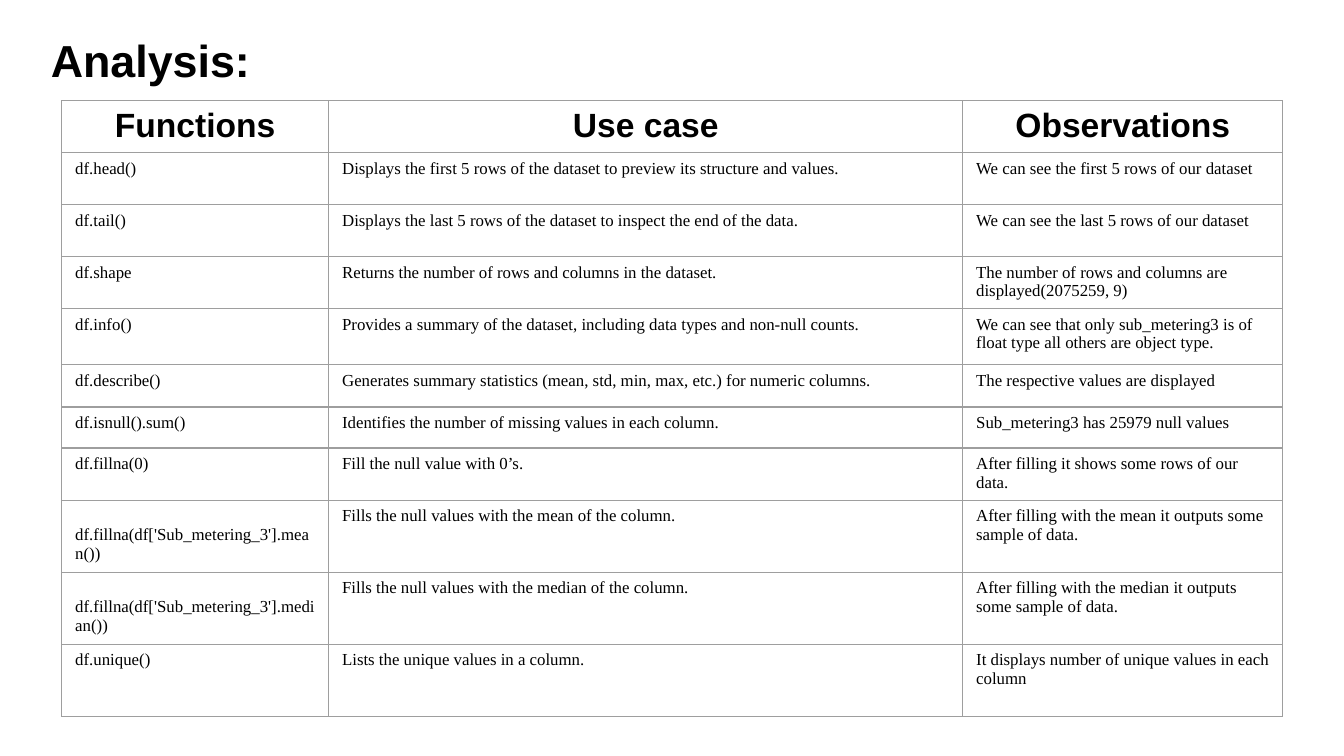
from dataclasses import dataclass

from lxml import etree
from pptx import Presentation
from pptx.dml.color import RGBColor
from pptx.enum.text import MSO_ANCHOR, PP_ALIGN
from pptx.oxml.ns import qn
from pptx.util import Inches, Pt

LEFT, CENTER = PP_ALIGN.LEFT, PP_ALIGN.CENTER
TOP = MSO_ANCHOR.TOP

SLIDE_WIDTH = Inches(10)
SLIDE_HEIGHT = SLIDE_WIDTH * 9 // 16
INK, GRID_LINE = "000000", "9E9E9E"
HEADING_FONT, BODY_FONT = "Arial", "Times New Roman"
COLUMN_POINTS = (143, 339.7, 171.5)
HEADER_POINTS = 27.6
PADDING_TOP, PADDING_BOTTOM = 0.05, 0.03
BODY_LINE = 0.14
HEADINGS = ("Functions", "Use case", "Observations")


@dataclass(frozen=True)
class FunctionEntry:
    function: str
    use_case: str
    observation: str
    points: float = 27.9
    lines_above: int = 0


ENTRIES = (
    FunctionEntry("df.head()", "Displays the first 5 rows of the dataset to preview its structure and values.",
                  "We can see the first 5 rows of our dataset"),
    FunctionEntry("df.tail()", "Displays the last 5 rows of the dataset to inspect the end of the data.",
                  "We can see the last 5 rows of our dataset"),
    FunctionEntry("df.shape", "Returns the number of rows and columns in the dataset.",
                  "The number of rows and columns are displayed(2075259, 9)"),
    FunctionEntry("df.info()", "Provides a summary of the dataset, including data types and non-null counts.",
                  "We can see that only sub_metering3 is of float type all others are object type.", 30),
    FunctionEntry("df.describe()", "Generates summary statistics (mean, std, min, max, etc.) for numeric columns.",
                  "The respective values are displayed", 22.8),
    FunctionEntry("df.isnull().sum()", "Identifies the number of missing values in each column.",
                  "Sub_metering3 has 25979 null values", 22),
    FunctionEntry("df.fillna(0)", "Fill the null value with 0’s.",
                  "After filling it shows some rows of our data."),
    FunctionEntry("df.fillna(df['Sub_metering_3'].mean())", "Fills the null values with the mean of the column.",
                  "After filling with the mean it outputs some sample of data.", 38.6, 1),
    FunctionEntry("df.fillna(df['Sub_metering_3'].median())", "Fills the null values with the median of the column.",
                  "After filling with the median it outputs some sample of data.", 38.6, 1),
    FunctionEntry("df.unique()", "Lists the unique values in a column.",
                  "It displays number of unique values in each column", 38.6),
)


def color(value: str) -> RGBColor:
    return RGBColor.from_string(value)


def write(frame, text: str, *, size: float = 9, font: str = BODY_FONT, bold: bool = False,
          align=LEFT, line_spacing: float = 1.0) -> None:
    frame.word_wrap = True
    paragraph = frame.paragraphs[0]
    paragraph.alignment = align
    paragraph.line_spacing = line_spacing
    run = paragraph.add_run()
    run.text = text
    run.font.size = Pt(size)
    run.font.name = font
    run.font.bold = bold
    run.font.color.rgb = color(INK)


def outline(cell) -> None:
    properties = cell._tc.get_or_add_tcPr()
    for position, side in enumerate(("a:lnL", "a:lnR", "a:lnT", "a:lnB")):
        border = etree.Element(qn(side), w=str(Pt(0.75)))
        fill = etree.SubElement(border, qn("a:solidFill"))
        etree.SubElement(fill, qn("a:srgbClr"), val=GRID_LINE)
        properties.insert(position, border)


def fill_cell(cell, text: str, lines_above: int = 0, **text_format) -> None:
    cell.fill.background()
    cell.margin_left = cell.margin_right = Inches(0.1)
    cell.margin_top = Inches(PADDING_TOP + lines_above * BODY_LINE)
    cell.margin_bottom = Inches(PADDING_BOTTOM)
    cell.vertical_anchor = TOP
    write(cell.text_frame, text, **text_format)
    outline(cell)


def add_title(slide, text: str) -> None:
    title = slide.shapes.add_textbox(Inches(0.28), Inches(0.19), Inches(8.43), Inches(0.63))
    frame = title.text_frame
    frame.margin_left = frame.margin_right = Inches(0.1)
    frame.margin_top = frame.margin_bottom = Inches(0.1)
    frame.vertical_anchor = TOP
    write(frame, text, size=24, font=HEADING_FONT, bold=True, line_spacing=0.9)


def add_function_table(slide, entries: tuple[FunctionEntry, ...]) -> None:
    row_points = (HEADER_POINTS, *(entry.points for entry in entries))
    table = slide.shapes.add_table(
        len(row_points), len(COLUMN_POINTS), Inches(0.46), Inches(0.75),
        Pt(sum(COLUMN_POINTS)), Pt(sum(row_points))).table
    table.first_row = table.horz_banding = False
    for column, points in zip(table.columns, COLUMN_POINTS):
        column.width = Pt(points)
    for row, points in zip(table.rows, row_points):
        row.height = Pt(points)
    for column, heading in enumerate(HEADINGS):
        fill_cell(table.cell(0, column), heading, size=18, font=HEADING_FONT, bold=True, align=CENTER)
    for row, entry in enumerate(entries, start=1):
        fill_cell(table.cell(row, 0), entry.function, entry.lines_above)
        fill_cell(table.cell(row, 1), entry.use_case)
        fill_cell(table.cell(row, 2), entry.observation)


def main() -> None:
    presentation = Presentation()
    presentation.slide_width, presentation.slide_height = SLIDE_WIDTH, SLIDE_HEIGHT
    slide = presentation.slides.add_slide(presentation.slide_layouts[6])
    add_title(slide, "Analysis:")
    add_function_table(slide, ENTRIES)
    presentation.save("out.pptx")


if __name__ == "__main__":
    main()
